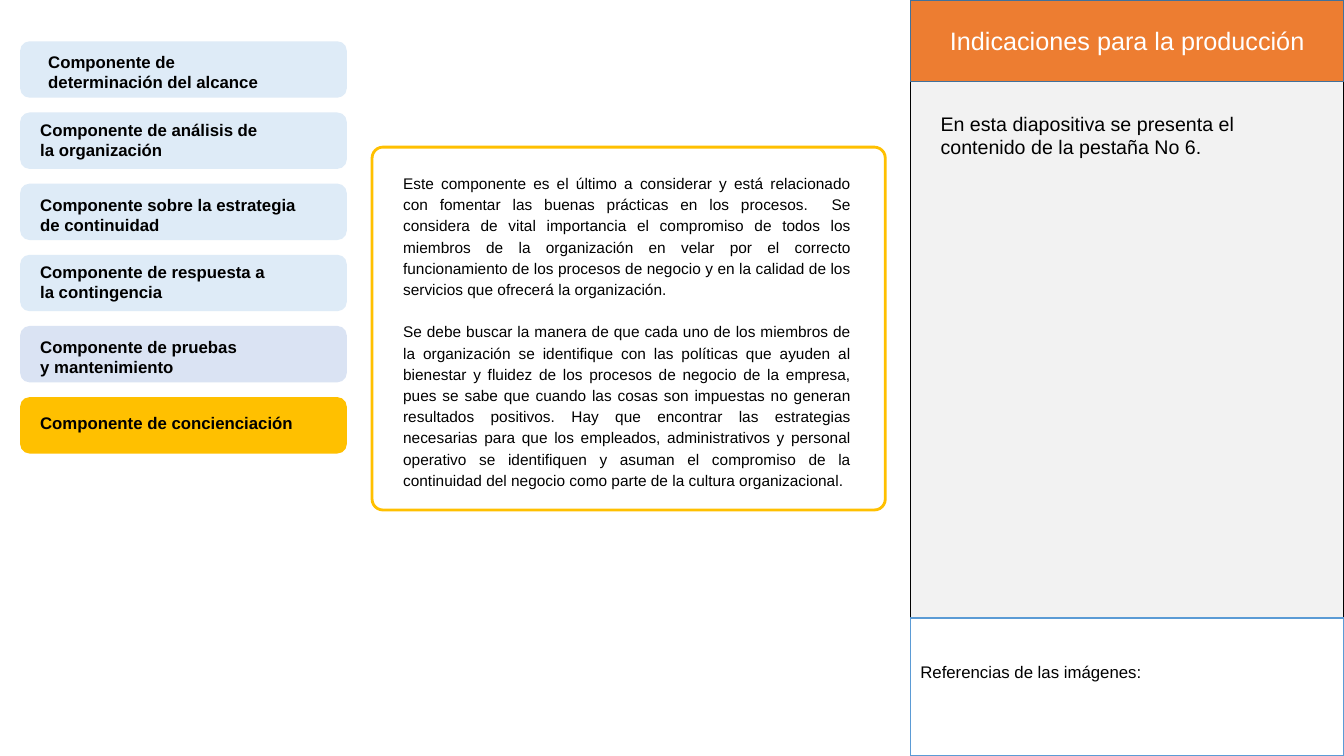
"""Build the slide on the awareness component, with its tabs and production notes."""
from pptx import Presentation
from pptx.dml.color import RGBColor
from pptx.enum.shapes import MSO_SHAPE
from pptx.enum.text import MSO_ANCHOR, MSO_AUTO_SIZE, PP_ALIGN
from pptx.util import Inches, Pt

RECT, ROUNDED = MSO_SHAPE.RECTANGLE, MSO_SHAPE.ROUNDED_RECTANGLE
LEFT, CENTER, JUSTIFY = PP_ALIGN.LEFT, PP_ALIGN.CENTER, PP_ALIGN.JUSTIFY
TOP, MIDDLE = MSO_ANCHOR.TOP, MSO_ANCHOR.MIDDLE
FIT, FIXED = MSO_AUTO_SIZE.SHAPE_TO_FIT_TEXT, MSO_AUTO_SIZE.NONE

THEME = {
    "font": "Arial",
    "black": "000000", "white": "FFFFFF", "panel": "F2F2F2",
    "orange": "ED7D31", "header_line": "42719B", "reference_line": "5B9BD5",
    "tab": "DEEBF7", "tab_alt": "DAE3F3", "active": "FFC000",
    "title_size": 18, "note_size": 14, "label_size": 12, "body_size": 11,
}

TABS = [
    ("Componente de determinación del alcance", "tab", (0.38, 0.46, 2.53, 0.5)),
    ("Componente de análisis de la organización", "tab", (0.3, 1.14, 2.39, 0.5)),
    ("Componente sobre la estrategia de continuidad", "tab", (0.3, 1.88, 2.82, 0.5)),
    ("Componente de respuesta a la contingencia", "tab", (0.3, 2.55, 2.44, 0.5)),
    ("Componente de pruebas y mantenimiento", "tab_alt", (0.3, 3.29, 2.22, 0.5)),
    ("Componente de concienciación", "active", (0.3, 4.05, 2.74, 0.3)),
]
BODY = [
    "Este componente es el último a considerar y está relacionado con fomentar las buenas "
    "prácticas en los procesos.  Se considera de vital importancia el compromiso de todos los "
    "miembros de la organización en velar por el correcto funcionamiento de los procesos de "
    "negocio y en la calidad de los servicios que ofrecerá la organización.",
    "Se debe buscar la manera de que cada uno de los miembros de la organización se identifique "
    "con las políticas que ayuden al bienestar y fluidez de los procesos de negocio de la empresa, "
    "pues se sabe que cuando las cosas son impuestas no generan resultados positivos. Hay que "
    "encontrar las estrategias necesarias para que los empleados, administrativos y personal "
    "operativo se identifiquen y asuman el compromiso de la continuidad del negocio como parte "
    "de la cultura organizacional.",
]
HEADER = "Indicaciones para la producción"
NOTE = "En esta diapositiva se presenta el contenido de la pestaña No 6."
REFERENCES = "Referencias de las imágenes:"

SLIDE_WIDTH, SLIDE_HEIGHT = 13.33, 7.5
PANEL_LEFT, PANEL_WIDTH = 9.03, 4.3
HEADER_HEIGHT, REFERENCES_TOP = 0.81, 6.13
TAB_LEFT, TAB_TOP, TAB_WIDTH, TAB_HEIGHT, TAB_STEP = 0.2, 0.41, 3.24, 0.56, 0.706


def color(name):
    return RGBColor.from_string(THEME[name])


def add_block(slide, kind, box, fill=None, line=None, line_width=1):
    block = slide.shapes.add_shape(kind, *map(Inches, box))
    block.shadow.inherit = False
    for paint, name in ((block.fill, fill), (block.line.fill, line)):
        if name:
            paint.solid()
            paint.fore_color.rgb = color(name)
        else:
            paint.background()
    if line:
        block.line.width = Pt(line_width)
    return block


def write(holder, paragraphs, size, ink="black", bold=False, align=LEFT, spacing=1.0,
          gap=0, **frame_format):
    frame = holder.text_frame
    frame_values = {"word_wrap": True, "auto_size": FIXED, "vertical_anchor": TOP, **frame_format}
    for key, value in frame_values.items():
        setattr(frame, key, value)
    font_values = {"name": THEME["font"], "size": Pt(THEME[size]), "bold": bold}
    for index, text in enumerate(paragraphs):
        paragraph = frame.add_paragraph() if index else frame.paragraphs[0]
        paragraph.alignment = align
        paragraph.line_spacing = spacing
        if index:
            paragraph.space_before = Pt(gap)
        run = paragraph.add_run()
        run.text = text
        for key, value in font_values.items():
            setattr(run.font, key, value)
        run.font.color.rgb = color(ink)


def add_text(slide, box, paragraphs, size, **text_format):
    write(slide.shapes.add_textbox(*map(Inches, box)), paragraphs, size, **text_format)


def add_production_panel(slide):
    add_block(slide, RECT, (PANEL_LEFT, 0, PANEL_WIDTH, SLIDE_HEIGHT), "panel", "black")
    header = add_block(slide, RECT, (PANEL_LEFT, 0, PANEL_WIDTH, HEADER_HEIGHT),
                       "orange", "header_line")
    write(header, [HEADER], "title_size", ink="white", align=CENTER, vertical_anchor=MIDDLE)
    references = add_block(
        slide, RECT,
        (PANEL_LEFT, REFERENCES_TOP, PANEL_WIDTH, SLIDE_HEIGHT - REFERENCES_TOP),
        "white", "reference_line")
    write(references, [REFERENCES], "label_size", vertical_anchor=MIDDLE,
          margin_bottom=Inches(0.35))
    add_text(slide, (PANEL_LEFT + 0.2, 1.06, 3.91, 3.3), [NOTE], "note_size")


def add_tabs(slide):
    for index, (label, fill, label_box) in enumerate(TABS):
        tab_box = (TAB_LEFT, TAB_TOP + index * TAB_STEP, TAB_WIDTH, TAB_HEIGHT)
        add_block(slide, ROUNDED, tab_box, fill)
        add_text(slide, label_box, [label], "label_size", bold=True, auto_size=FIT,
                 word_wrap=fill != "active")


def add_body(slide):
    frame = add_block(slide, ROUNDED, (3.69, 1.46, 5.09, 3.6), line="active", line_width=2)
    frame.adjustments[0] = 0.03
    add_text(slide, (3.9, 1.65, 4.64, 3.28), BODY, "body_size", align=JUSTIFY,
             spacing=1.15, gap=15, auto_size=FIT)


def main():
    deck = Presentation()
    deck.slide_width, deck.slide_height = Inches(SLIDE_WIDTH), Inches(SLIDE_HEIGHT)
    slide = deck.slides.add_slide(deck.slide_layouts[6])
    add_production_panel(slide)
    add_tabs(slide)
    add_body(slide)
    deck.save("out.pptx")


if __name__ == "__main__":
    main()
